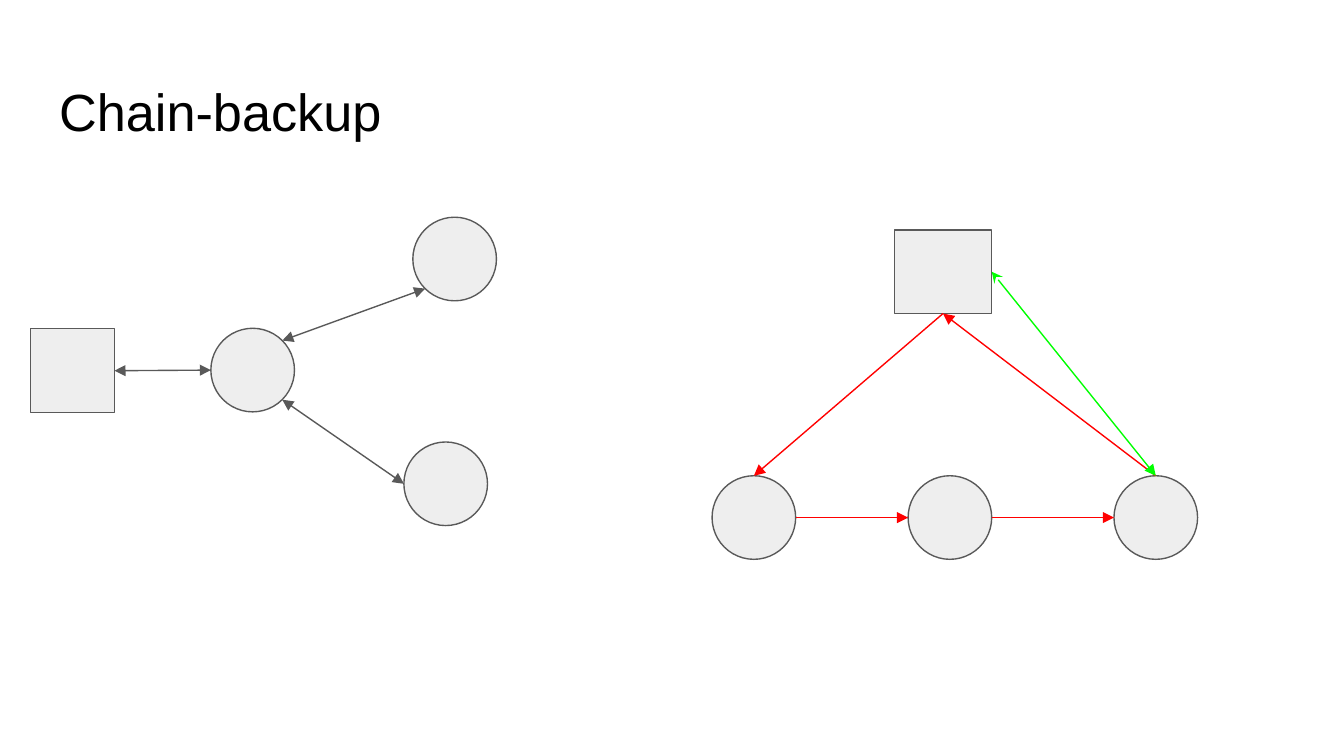
from pptx import Presentation
from pptx.dml.color import RGBColor
from pptx.enum.shapes import MSO_CONNECTOR as Connector, MSO_SHAPE as Shape
from pptx.enum.text import MSO_ANCHOR as Anchor, MSO_AUTO_SIZE as AutoSize, PP_ALIGN as Align
from pptx.oxml.ns import qn
from pptx.util import Pt
from lxml.etree import SubElement

COLORS = {"text": "000000", "node": "EEEEEE", "gray": "595959",
          "chain": "FF0000", "backup": "00FF00"}
TITLE = "Chain-backup"
SIZE = 44.8
ROW = 254.9

TREE_NODES = {
    "relay": (Shape.OVAL, 113, 175.9, SIZE, SIZE),
    "upper": (Shape.OVAL, 221.2, 116.4, SIZE, SIZE),
    "lower": (Shape.OVAL, 216.4, 236.8, SIZE, SIZE),
    "server": (Shape.RECTANGLE, 16.3, 176.1, 45, 45),
}
TREE_LINKS = [
    ("relay", "top right", "upper", "bottom left", "gray", "triangle"),
    ("relay", "bottom right", "lower", "left", "gray", "triangle"),
    ("server", "right", "relay", "left", "gray", "triangle"),
]
CHAIN_NODES = {
    "first": (Shape.OVAL, 381.5, ROW, SIZE, SIZE),
    "middle": (Shape.OVAL, 486.5, ROW, SIZE, SIZE),
    "last": (Shape.OVAL, 596.8, ROW, SIZE, SIZE),
    "server": (Shape.RECTANGLE, 479.1, 123.2, 52.2, SIZE),
}
CHAIN_LINKS = [
    ("first", "right", "middle", "left", "chain", None),
    ("middle", "right", "last", "left", "chain", None),
    ("server", "bottom", "first", "top", "chain", None),
    ("last", "top", "server", "bottom", "chain", None),
    ("server", "right", "last", "top", "backup", "stealth"),
]
DIAGONAL = 0.5 ** 0.5
DIRECTIONS = {"top": (0, -1), "left": (-1, 0), "bottom": (0, 1), "right": (1, 0),
              "top right": (DIAGONAL, -DIAGONAL),
              "bottom left": (-DIAGONAL, DIAGONAL),
              "bottom right": (DIAGONAL, DIAGONAL)}
SIDES = ["top", "left", "bottom", "right"]


def rgb(name):
    return RGBColor.from_string(COLORS[name])


def edge_point(node, side):
    dx, dy = DIRECTIONS[side]
    return (int(node.left + node.width * (1 + dx) / 2),
            int(node.top + node.height * (1 + dy) / 2))


def add_node(shapes, kind, *box):
    node = shapes.add_shape(kind, *map(Pt, box))
    node.shadow.inherit = False
    node.fill.solid()
    node.fill.fore_color.rgb = rgb("node")
    node.line.color.rgb = rgb("gray")
    node.line.width = Pt(0.75)
    return node


def add_link(shapes, nodes, source, source_side, target, target_side, color, head):
    start, end = nodes[source], nodes[target]
    link = shapes.add_connector(Connector.STRAIGHT, *edge_point(start, source_side),
                                *edge_point(end, target_side))
    if source == "server":
        link.begin_connect(start, SIDES.index(source_side))
    if target == "server":
        link.end_connect(end, SIDES.index(target_side))
    link.line.color.rgb = rgb(color)
    link.line.width = Pt(0.75)
    outline = link.line._get_or_add_ln()
    for tag, arrow in (("a:headEnd", head), ("a:tailEnd", "triangle")):
        if arrow:
            SubElement(outline, qn(tag), type=arrow, w="med", len="med")
    SubElement(link._element.spPr, qn("a:effectLst"))


def draw(shapes, node_specs, links):
    nodes = {name: add_node(shapes, *spec) for name, spec in node_specs.items()}
    for link in links:
        add_link(shapes, nodes, *link)


def main():
    deck = Presentation()
    deck.slide_width, deck.slide_height = Pt(720), Pt(405)
    slide = deck.slides.add_slide(deck.slide_layouts[5])

    title = slide.shapes.title
    title.left, title.top, title.width, title.height = map(Pt, (24.5, 35, 671, 45.1))
    frame = title.text_frame
    frame.text = TITLE
    frame.word_wrap = True
    frame.auto_size = AutoSize.NONE
    frame.vertical_anchor = Anchor.TOP
    frame.margin_left = frame.margin_top = Pt(7.2)
    frame.margin_right = frame.margin_bottom = Pt(7.2)
    heading = frame.paragraphs[0]
    heading.alignment = Align.LEFT
    heading.font.name = "Arial"
    heading.font.size = Pt(28)
    heading.font.color.rgb = rgb("text")

    draw(slide.shapes.add_group_shape().shapes, TREE_NODES, TREE_LINKS)
    draw(slide.shapes, CHAIN_NODES, CHAIN_LINKS)
    deck.save("out.pptx")


if __name__ == "__main__":
    main()
